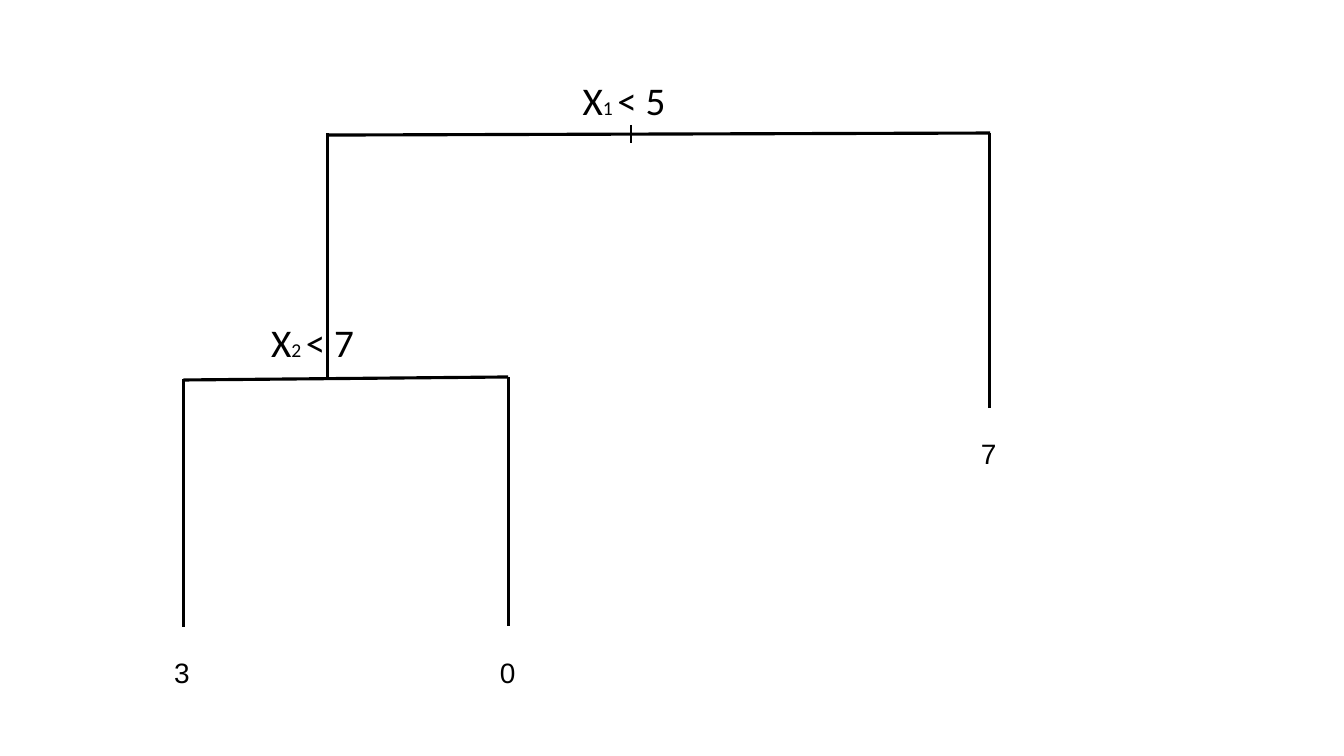
from lxml import etree
from pptx import Presentation
from pptx.dml.color import RGBColor
from pptx.enum.shapes import MSO_CONNECTOR
from pptx.enum.text import MSO_AUTO_SIZE
from pptx.oxml.ns import qn
from pptx.util import Inches, Pt

STRAIGHT = MSO_CONNECTOR.STRAIGHT
GROW = MSO_AUTO_SIZE.SHAPE_TO_FIT_TEXT
BLACK = RGBColor(0x00, 0x00, 0x00)

presentation = Presentation()
presentation.slide_width = Inches(13.33)
presentation.slide_height = Inches(7.5)
slide = presentation.slides.add_slide(presentation.slide_layouts[6])


def add_label(left, top, width, height, pieces, font_name):
    shape = slide.shapes.add_textbox(
        Inches(left), Inches(top), Inches(width), Inches(height))
    text_frame = shape.text_frame
    text_frame.word_wrap = True
    text_frame.auto_size = GROW
    paragraph = text_frame.paragraphs[0]
    for text, size in pieces:
        run = paragraph.add_run()
        run.text = text
        run.font.name = font_name
        run.font.size = Pt(size)
        run.font.color.rgb = BLACK


branches = [
    (6.26, 1.24, 6.26, 1.42, 1.5),
    (3.25, 1.34, 9.82, 1.32, 2.25),
    (3.25, 3.77, 3.25, 1.32, 2.25),
    (1.82, 3.77, 5.04, 3.74, 2.25),
    (9.81, 4.05, 9.81, 1.32, 2.25),
    (5.04, 6.21, 5.04, 3.74, 2.25),
    (1.82, 6.22, 1.82, 3.76, 2.25),
]
for start_x, start_y, end_x, end_y, weight in branches:
    connector = slide.shapes.add_connector(
        STRAIGHT, Inches(start_x), Inches(start_y), Inches(end_x), Inches(end_y))
    connector.line.color.rgb = BLACK
    connector.line.width = Pt(weight)
    etree.SubElement(connector.element.spPr, qn("a:effectLst"))

splits = [(5.68, 0.71, "1 ", "< 5"), (2.59, 3.11, "2 ", "< 7")]
for left, top, index, condition in splits:
    pieces = [("X", 28), (index, 14), (condition, 28)]
    add_label(left, top, 1.16, 0.57, pieces, "Calibri")

leaves = [(1.63, 6.45, "3"), (4.86, 6.45, "0"), (9.63, 4.28, "7")]
for left, top, value in leaves:
    add_label(left, top, 0.37, 0.44, [(value, 20)], "Arial")

presentation.save("out.pptx")
